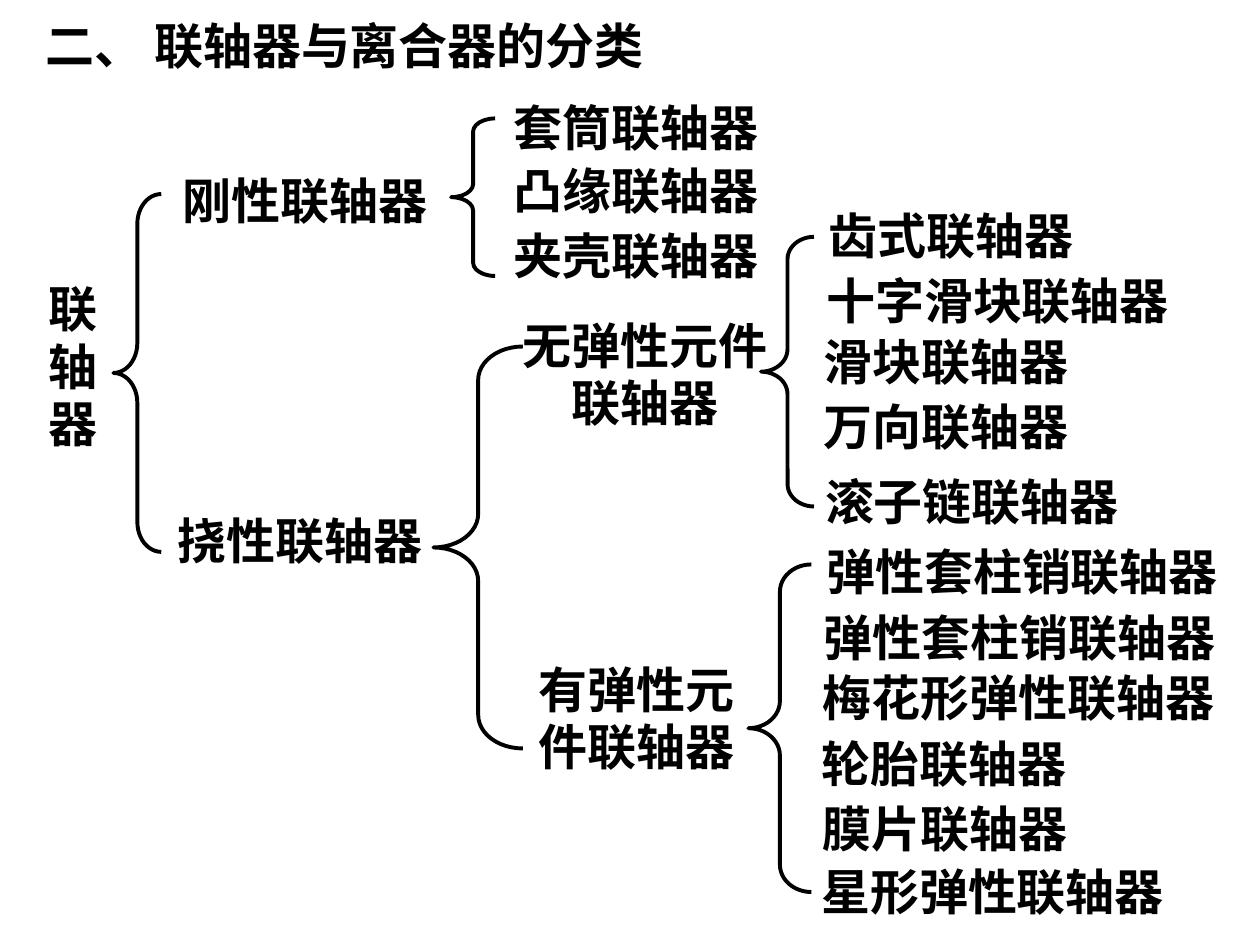
from lxml import etree
from pptx import Presentation
from pptx import util as u
from pptx.dml.color import RGBColor
from pptx.enum import shapes, text
from pptx.oxml.ns import qn

SCALE = 9144  # EMU per px, 100 px to the inch
COLORS = {"ink": "000000", "ground": "FFFFFF"}
SERIF, SANS = "Times New Roman", "Noto Sans CJK SC"
LINE_HEIGHT = 57


def px(value):
    return u.Emu(value * SCALE)


def add_span(para, words, *, font=SANS, size=28, bold=True, color="ink"):
    span = para.add_run()
    span.text = words
    span.font.name = font
    span.font.size = u.Pt(size)
    span.font.bold = bold
    span.font.color.rgb = RGBColor.from_string(COLORS[color])
    east_asian = etree.SubElement(span.font._element, qn("a:ea"))
    east_asian.set("typeface", SANS)


class Diagram:
    """Holds the current page and the style of labels and braces."""

    def __init__(self, page):
        self.page = page
        self.page.background.fill.solid()
        self.page.background.fill.fore_color.rgb = RGBColor.from_string(COLORS["ground"])

    def label(self, left, top, width, spans, *, height=LINE_HEIGHT,
              centred=False, wrap=False, inset=(10, 5)):
        box = self.page.shapes.add_textbox(px(left), px(top), px(width), px(height))
        frame = box.text_frame
        frame.word_wrap = wrap
        frame.auto_size = text.MSO_AUTO_SIZE.SHAPE_TO_FIT_TEXT
        frame.margin_left = frame.margin_right = px(inset[0])
        frame.margin_top = frame.margin_bottom = px(inset[1])
        para = frame.paragraphs[0]
        para.line_spacing = u.Pt(33)
        para.alignment = text.PP_ALIGN.CENTER if centred else text.PP_ALIGN.LEFT
        for words, font in spans:
            add_span(para, words, font=font)

    def brace(self, left, top, width, height):
        brace = self.page.shapes.add_shape(
            shapes.MSO_SHAPE.LEFT_BRACE, px(left), px(top), px(width), px(height))
        brace.adjustments[0] = height / 12 / min(width, height)
        brace.shadow.inherit = False
        brace.fill.background()
        brace.line.color.rgb = RGBColor.from_string(COLORS["ink"])
        brace.line.width = u.Pt(2.25)


def main():
    deck = Presentation()
    deck.slide_width, deck.slide_height = px(1000), px(750)
    diagram = Diagram(deck.slides.add_slide(deck.slide_layouts[6]))

    # Title
    diagram.label(36, 13, 484, [("二、 联轴器与离合器的", SERIF), ("分类", SANS)],
                  height=47, inset=(0, 0))

    # Root and the two main families
    diagram.label(29, 217, 54, [("联轴器", SERIF)], height=150, centred=True, wrap=True)
    diagram.label(135, 131, 214, [("刚性联轴器", SERIF)], centred=True)
    diagram.label(131, 401, 214, [("挠性联轴器", SANS)], centred=True)

    # Rigid couplings
    rigid = [
        (73, [("套筒联轴器", SERIF)]),
        (123, [("凸缘", SANS), ("联轴器", SERIF)]),
        (175, [("夹壳", SANS), ("联轴器", SERIF)]),
    ]
    for top, spans in rigid:
        diagram.label(398, top, 214, spans, centred=True)

    # Flexible couplings, without and with elastic elements
    for left, top, width, words in [(404, 246, 216, "无弹性元件联轴器"),
                                    (399, 519, 212, "有弹性元件联轴器")]:
        diagram.label(left, top, width, [(words, SERIF)], height=104,
                      centred=True, wrap=True)

    # Types of flexible coupling
    flexible = [
        (648, 159, "齿式联轴器"),
        (646, 211, "十字滑块联轴器"),
        (644, 259, "滑块联轴器"),
        (644, 311, "万向联轴器"),
        (645, 370, "滚子链联轴器"),
        (646, 426, "弹性套柱销联轴器"),
        (644, 478, "弹性套柱销联轴器"),
        (643, 526, "梅花形弹性联轴器"),
        (642, 578, "轮胎联轴器"),
        (643, 630, "膜片联轴器"),
        (642, 680, "星形弹性联轴器"),
    ]
    for left, top, words in flexible:
        diagram.label(left, top, 20 + 39 * len(words), [(words, SANS)])

    # Braces
    for place in [(90, 154, 38, 284), (358, 94, 35, 125), (344, 275, 71, 319),
                  (604, 188, 42, 214), (594, 448, 50, 260)]:
        diagram.brace(*place)

    deck.save("out.pptx")


if __name__ == "__main__":
    main()
